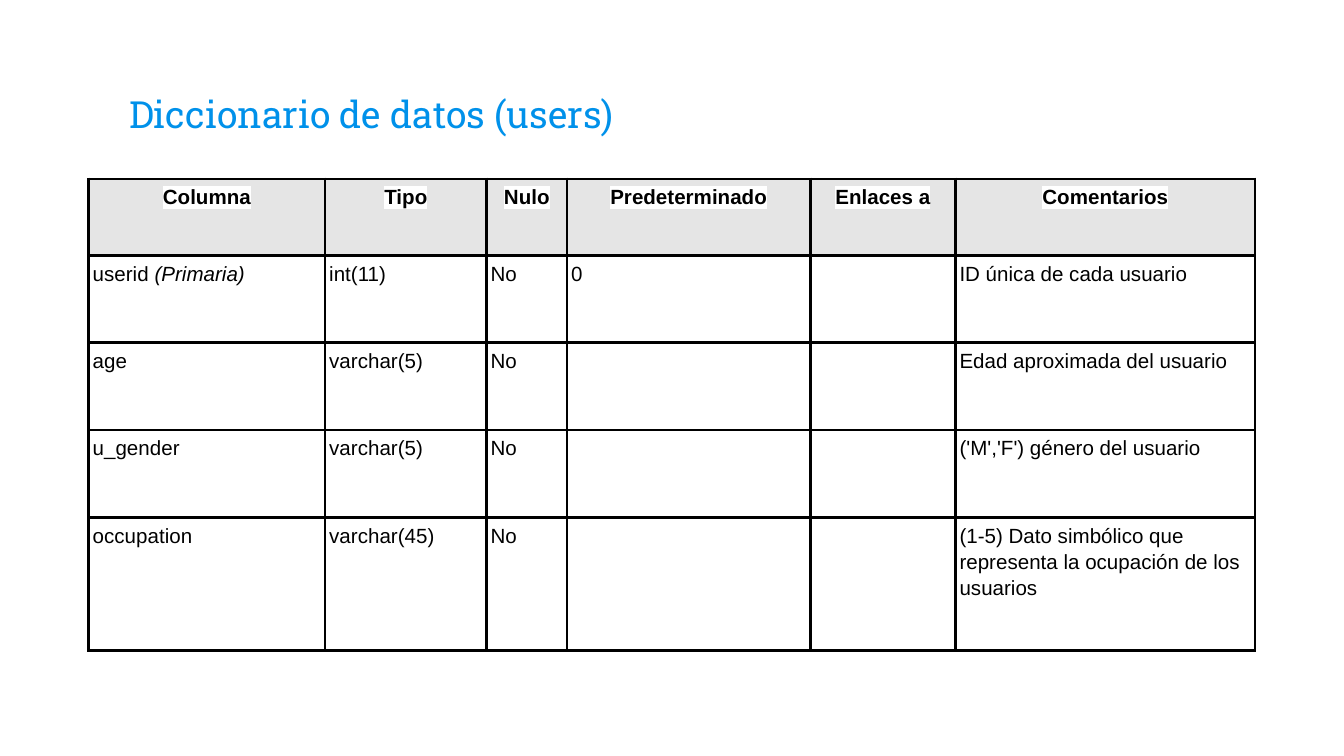
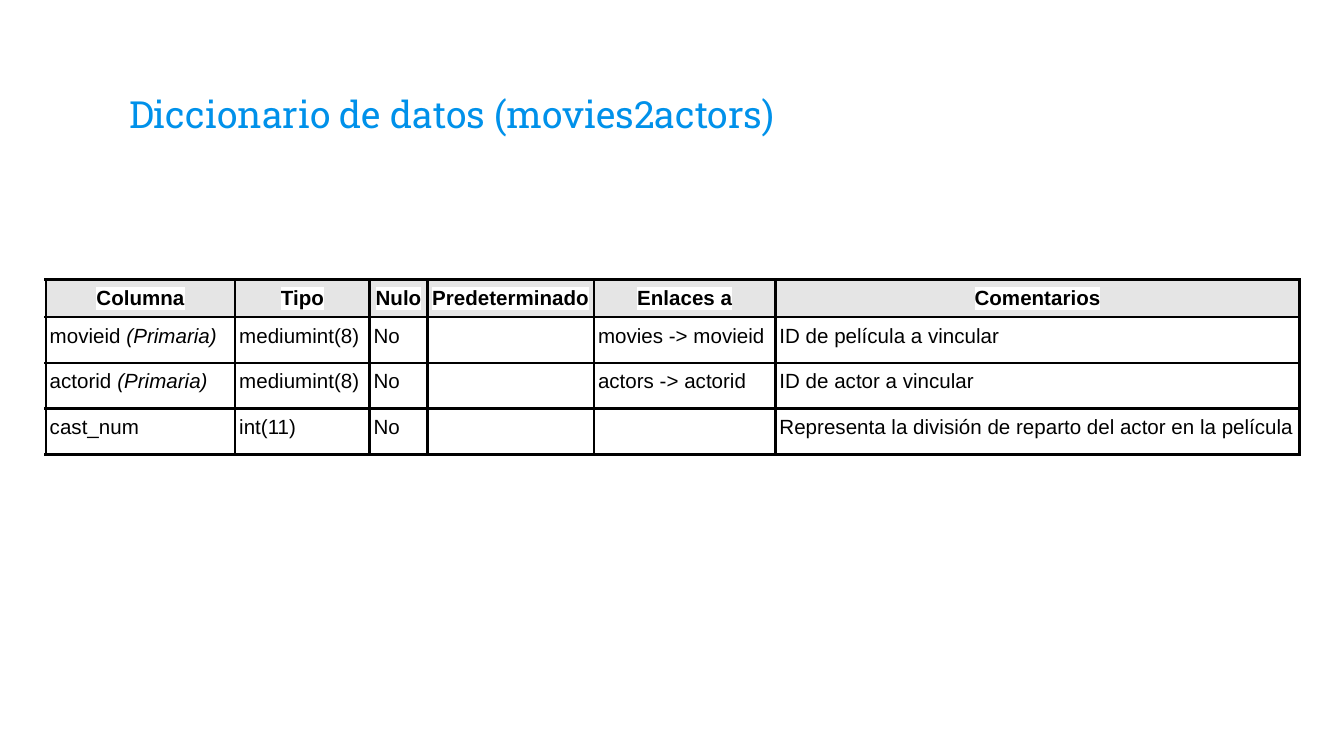
from lxml.etree import SubElement
from pptx import Presentation
from pptx.dml.color import RGBColor
from pptx.enum.text import MSO_ANCHOR as Anchor, MSO_AUTO_SIZE as AutoSize, PP_ALIGN as Align
from pptx.oxml.ns import qn
from pptx.util import Inches, Pt

BLUE, BLACK, WHITE, GRAY = "0091EA", "000000", "FFFFFF", "E5E5E5"
TITLE_FONT, TABLE_FONT = "Roboto Slab", "Arial"
SLIDE_WIDTH = 10
SLIDE_HEIGHT = SLIDE_WIDTH * 9 / 16
TITLE_BOX = (0.86, 0.34, 8.28, 0.77)
HEADINGS = ("Columna", "Tipo", "Nulo", "Predeterminado", "Enlaces a", "Comentarios")
PRIMARY = "(Primaria)"

DICTIONARIES = [
    {
        "name": "users",
        "corner": (0.66, 1.33),
        "widths": (1.76, 1.2, 0.6, 1.81, 1.08, 2.23),
        "heights": (0.57, 0.65, 0.65, 0.65, 0.99),
        "fields": [
            ("userid (Primaria)", "int(11)", "No", "0", "", "ID única de cada usuario"),
            ("age", "varchar(5)", "No", "", "", "Edad aproximada del usuario"),
            ("u_gender", "varchar(5)", "No", "", "", "('M','F') género del usuario"),
            ("occupation", "varchar(45)", "No", "", "",
             "(1-5) Dato simbólico que representa la ocupación de los usuarios"),
        ],
    },
    {
        "name": "movies2actors",
        "corner": (0.34, 2.08),
        "widths": (1.41, 1, 0.43, 1.24, 1.35, 3.9),
        "heights": (0.28,) * 4,
        "fields": [
            ("movieid (Primaria)", "mediumint(8)", "No", "", "movies -> movieid",
             "ID de película a vincular"),
            ("actorid (Primaria)", "mediumint(8)", "No", "", "actors -> actorid",
             "ID de actor a vincular"),
            ("cast_num", "int(11)", "No", "", "",
             "Representa la división de reparto del actor en la película"),
        ],
    },
]


def color(value):
    """Turn a hex string into a colour."""
    return RGBColor.from_string(value)


def style_font(font, name, size, shade):
    """Set the typeface, size and colour of a font."""
    font.name, font.size = name, Pt(size)
    font.color.rgb = color(shade)


def add_title(page, text, box):
    """Place and format the slide title."""
    title = page.shapes.title
    title.left, title.top, title.width, title.height = map(Inches, box)
    frame = title.text_frame
    frame.text, frame.word_wrap = text, True
    frame.auto_size, frame.vertical_anchor = AutoSize.NONE, Anchor.BOTTOM
    frame.margin_left = frame.margin_right = Inches(0.1)
    frame.margin_top = frame.margin_bottom = Inches(0.1)
    para = frame.paragraphs[0]
    para.alignment = Align.LEFT
    style_font(para.font, TITLE_FONT, 20, BLUE)


def add_borders(cell):
    """Draw solid black lines on the four sides of a cell."""
    props = cell._tc.get_or_add_tcPr()
    for index, side in enumerate(("lnL", "lnR", "lnT", "lnB")):
        line = props.makeelement(qn(f"a:{side}"), {"w": str(Pt(1.5))})
        fill = SubElement(line, qn("a:solidFill"))
        SubElement(fill, qn("a:srgbClr"), val=BLACK)
        props.insert(index, line)


def add_span(para, text, italic=False, highlight=None):
    """Append a run, optionally italic or highlighted."""
    span = para.add_run()
    span.text = text
    if italic:
        span.font.italic = True
    if highlight:
        mark = SubElement(span._r.get_or_add_rPr(), qn("a:highlight"))
        SubElement(mark, qn("a:srgbClr"), val=highlight)


def fill_cell(cell, text, heading):
    """Write and format one table cell."""
    cell.margin_left = cell.margin_right = Inches(0.03)
    cell.margin_top = cell.margin_bottom = Inches(0.03)
    cell.fill.solid()
    cell.fill.fore_color.rgb = color(GRAY if heading else WHITE)
    add_borders(cell)
    para = cell.text_frame.paragraphs[0]
    if not text:
        ending = SubElement(para._p, qn("a:endParaRPr"), sz="1800")
        SubElement(ending, qn("a:latin"), typeface=TABLE_FONT)
        return
    para.alignment = Align.CENTER if heading else Align.LEFT
    para.line_spacing = 1.15
    para.space_before = para.space_after = Pt(12)
    style_font(para.font, TABLE_FONT, 11, BLACK)
    para.font.bold = heading
    plain, key, _ = text.partition(PRIMARY)
    add_span(para, plain, highlight=WHITE if heading else None)
    if key:
        add_span(para, key, italic=True)


def add_dictionary(page, corner, widths, heights, fields):
    """Build the table of fields with its top left at the corner."""
    rows = [HEADINGS, *fields]
    box = (*corner, sum(widths), sum(heights))
    table = page.shapes.add_table(len(rows), len(HEADINGS), *map(Inches, box)).table
    table.first_row = table.horz_banding = False
    for column, width in zip(table.columns, widths):
        column.width = Inches(width)
    for row, height, texts in zip(table.rows, heights, rows):
        row.height = Inches(height)
        for cell, text in zip(row.cells, texts):
            fill_cell(cell, text, texts is HEADINGS)


def add_dictionary_page(deck, name, **table):
    """Add a slide that describes one database table."""
    page = deck.slides.add_slide(deck.slide_layouts[5])
    add_title(page, f"Diccionario de datos ({name})", TITLE_BOX)
    add_dictionary(page, **table)


def main():
    """Build and save the deck."""
    deck = Presentation()
    deck.slide_width, deck.slide_height = Inches(SLIDE_WIDTH), Inches(SLIDE_HEIGHT)
    for dictionary in DICTIONARIES:
        add_dictionary_page(deck, **dictionary)
    deck.save("out.pptx")


if __name__ == "__main__":
    main()
